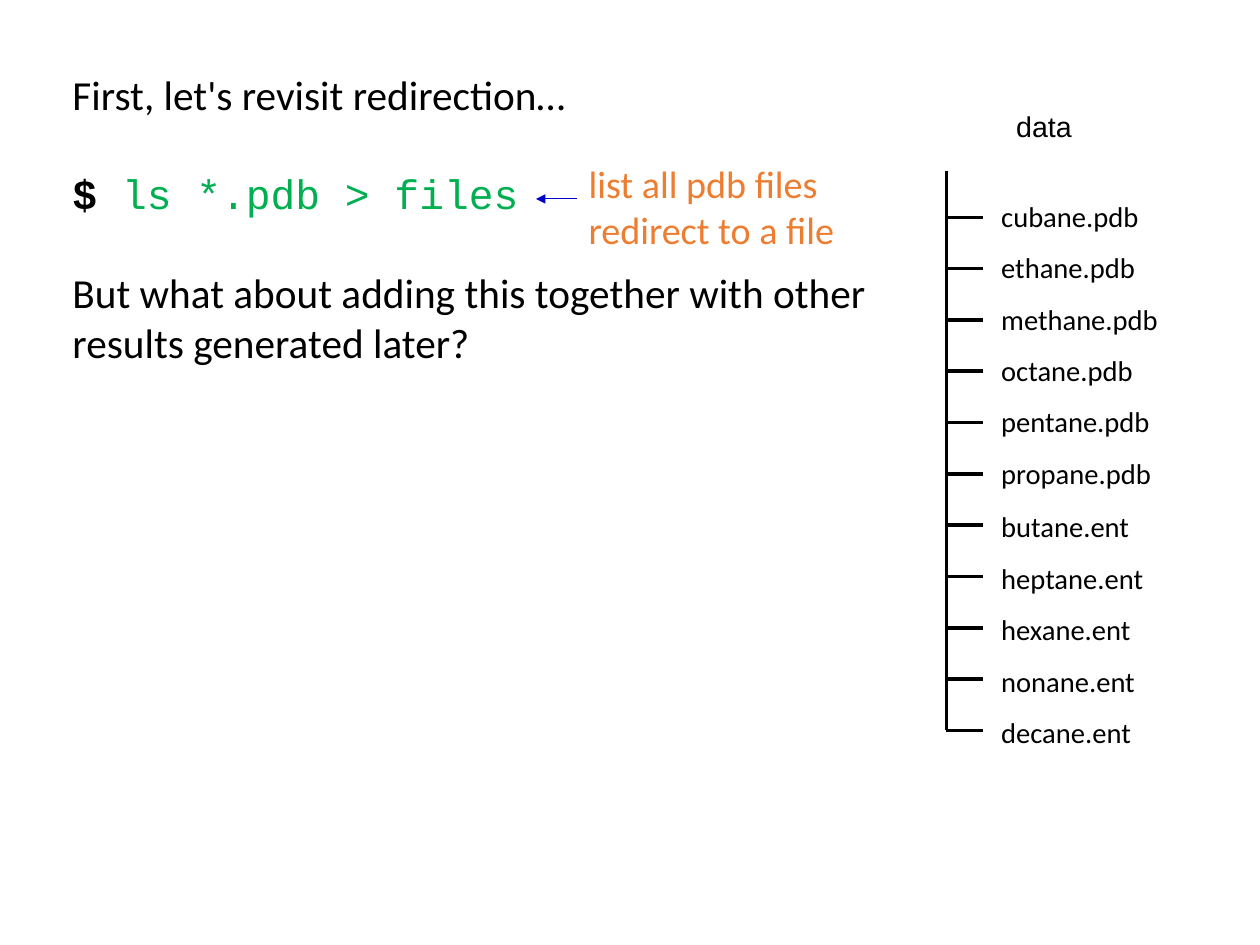
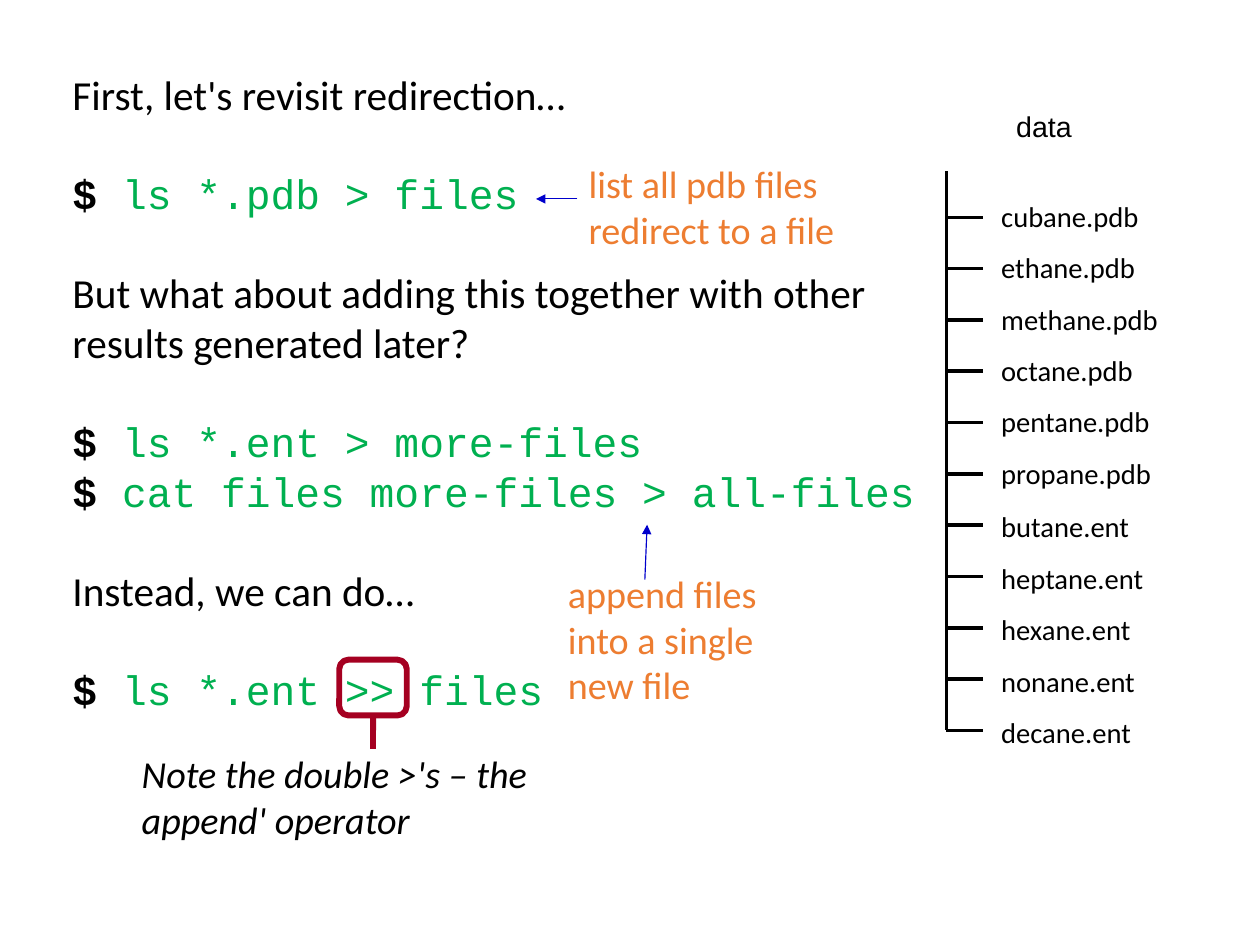
from lxml import etree
from pptx import Presentation
from pptx.dml.color import RGBColor
from pptx.enum.shapes import MSO_CONNECTOR, MSO_SHAPE
from pptx.enum.text import PP_ALIGN
from pptx.oxml.ns import qn
from pptx.util import Cm, Pt

STRAIGHT = MSO_CONNECTOR.STRAIGHT
ROUNDED_RECTANGLE = MSO_SHAPE.ROUNDED_RECTANGLE
LEFT, CENTER = PP_ALIGN.LEFT, PP_ALIGN.CENTER
BOTTOM_SIDE = 2

BLACK = RGBColor(0x00, 0x00, 0x00)
GREEN = RGBColor(0x00, 0xB0, 0x50)
ORANGE = RGBColor(0xED, 0x7D, 0x31)
BLUE = RGBColor(0x00, 0x00, 0xCC)
RED = RGBColor(0xA5, 0x00, 0x21)

TEXT_FONT, CODE_FONT, LABEL_FONT = "Calibri", "Courier New", "Arial"
BODY_SIZE, NOTE_SIZE, FILE_SIZE = Pt(26), Pt(24), Pt(18)
BODY_PITCH = Pt(31.25)
PROMPT = "$ "

PDB_FILES = ["cubane.pdb", "ethane.pdb", "methane.pdb",
             "octane.pdb", "pentane.pdb", "propane.pdb"]
ENT_FILES = ["butane.ent", "heptane.ent", "hexane.ent",
             "nonane.ent", "decane.ent"]

# Each body line: text, whether a line's gap goes before it
REVISIT_LINES = [
    ("First, let's revisit redirection…", False),
    ("$ ls *.pdb > files", True),
    ("But what about adding this together with other results generated later?", True),
]
APPEND_LINES = [
    ("$ ls *.ent > more-files", True),
    ("$ cat files more-files > all-files", False),
    ("Instead, we can do…", True),
    ("$ ls *.ent >> files", True),
]


def style_run(run, size, color=BLACK, font=TEXT_FONT, bold=False, italic=False):
    run.font.name = font
    run.font.size = size
    run.font.bold = bold
    run.font.italic = italic
    run.font.color.rgb = color


class Deck:
    def __init__(self):
        self.presentation = Presentation()
        self.presentation.slide_width = Cm(28)
        self.presentation.slide_height = Cm(21)
        self.slide = None

    def new_slide(self):
        blank_layout = self.presentation.slide_layouts[6]
        self.slide = self.presentation.slides.add_slide(blank_layout)

    def text_frame(self, left, top, width, height):
        box = self.slide.shapes.add_textbox(Cm(left), Cm(top), Cm(width), Cm(height))
        box.text_frame.word_wrap = True
        return box.text_frame

    def text(self, lines, left, top, width, height, size,
             spacing=None, align=LEFT, **style):
        text_frame = self.text_frame(left, top, width, height)
        text_frame.text = "\n".join(lines)
        for paragraph in text_frame.paragraphs:
            paragraph.alignment = align
            paragraph.line_spacing = spacing
            for run in paragraph.runs:
                style_run(run, size, **style)

    def body(self, lines, height):
        """Write prose and commands; a command starts with the prompt."""
        text_frame = self.text_frame(1.36, 1.41, 19.7, height)
        for index, (line, gap) in enumerate(lines):
            paragraph = text_frame.add_paragraph() if index else text_frame.paragraphs[0]
            paragraph.line_spacing = BODY_PITCH
            if gap:
                paragraph.space_before = BODY_PITCH
            if line.startswith(PROMPT):
                paragraph.text = PROMPT
                style_run(paragraph.runs[0], BODY_SIZE, font=CODE_FONT, bold=True)
                command = paragraph.add_run()
                command.text = line.removeprefix(PROMPT)
                style_run(command, BODY_SIZE, GREEN, CODE_FONT)
            else:
                paragraph.text = line
                style_run(paragraph.runs[0], BODY_SIZE)

    def line(self, start, end, color=BLACK, width=2.25, arrow=False):
        connector = self.slide.shapes.add_connector(
            STRAIGHT, Cm(start[0]), Cm(start[1]), Cm(end[0]), Cm(end[1]))
        connector.line.color.rgb = color
        connector.line.width = Pt(width)
        if arrow:
            outline = connector.line._get_or_add_ln()
            etree.SubElement(outline, qn("a:tailEnd"), type="triangle")
        etree.SubElement(connector._element.spPr, qn("a:effectLst"))
        return connector

    def note(self, lines, left, top, width, height, arrow_start, arrow_end):
        self.text(lines, left, top, width, height, NOTE_SIZE, color=ORANGE)
        self.line(arrow_start, arrow_end, BLUE, 0.75, arrow=True)

    def file_tree(self):
        trunk, tick_end, first_tick, pitch = 21.03, 21.84, 4.83, 1.14
        ticks = [first_tick + pitch * row
                 for row in range(len(PDB_FILES + ENT_FILES))]
        self.text(["data"], 21.95, 2.36, 2.5, 0.97, FILE_SIZE,
                  spacing=0.93, align=CENTER, font=LABEL_FONT)
        self.text(PDB_FILES, 22, 3.91, 4.5, 7.19, FILE_SIZE, spacing=1.5)
        self.text(ENT_FILES, 22, 10.81, 4.5, 6.02, FILE_SIZE, spacing=1.5)
        self.line((trunk, 3.81), (trunk, ticks[-1]))
        for tick in ticks:
            self.line((trunk, tick), (tick_end, tick))

    def operator_callout(self):
        left, top, width, height = 7.54, 14.66, 1.5, 1.24
        frame = self.slide.shapes.add_shape(
            ROUNDED_RECTANGLE, Cm(left), Cm(top), Cm(width), Cm(height))
        frame.shadow.inherit = False
        frame.fill.background()
        frame.line.color.rgb = RED
        frame.line.width = Pt(3.75)
        middle = left + width / 2
        stem = self.line((middle, top + height), (middle, 16.64), RED, 3.75)
        stem.begin_connect(frame, BOTTOM_SIDE)
        self.text(["Note the double >'s – the append' operator"],
                  2.9, 16.56, 11.43, 2.31, NOTE_SIZE, italic=True)

    def redirection_slide(self, lines, body_height):
        self.new_slide()
        self.file_tree()
        self.body(lines, body_height)
        self.note(["list all pdb files", "redirect to a file"],
                  12.83, 3.45, 6.6, 2.39, (12.83, 4.42), (11.91, 4.42))


def main():
    deck = Deck()
    deck.redirection_slide(REVISIT_LINES, 8.03)
    deck.redirection_slide(REVISIT_LINES + APPEND_LINES, 16.92)
    deck.note(["append files into a single new file"],
              12.37, 12.55, 5.13, 3.2, (14.33, 12.88), (14.38, 11.66))
    deck.operator_callout()
    deck.presentation.save("out.pptx")


if __name__ == "__main__":
    main()
